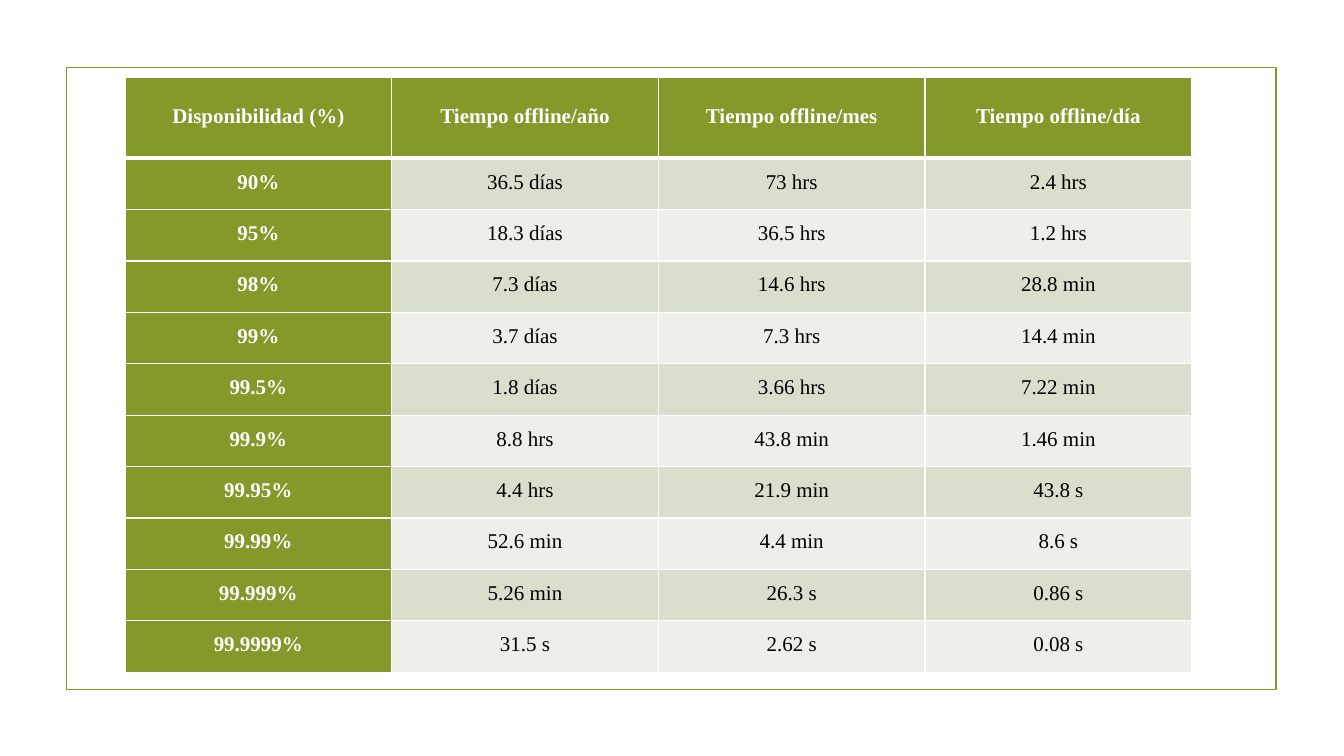
from dataclasses import dataclass

from lxml import etree
from pptx import Presentation
from pptx.dml.color import RGBColor
from pptx.enum import shapes, text
from pptx.oxml import ns
from pptx.util import Inches, Pt


@dataclass(frozen=True)
class Theme:
    green: str = "83992A"
    white: str = "FFFFFF"
    black: str = "000000"
    bands: tuple = ("D9DECD", "EDEFE8")
    font: str = "Times New Roman"
    size: float = 15
    lead: float = 13.8
    frame: float = 1.25
    thin: float = 1
    thick: float = 3


THEME = Theme()

ROWS = [
    ("Disponibilidad (%)", "Tiempo offline/año", "Tiempo offline/mes", "Tiempo offline/día"),
    ("90%", "36.5 días", "73 hrs", "2.4 hrs"),
    ("95%", "18.3 días", "36.5 hrs", "1.2 hrs"),
    ("98%", "7.3 días", "14.6 hrs", "28.8 min"),
    ("99%", "3.7 días", "7.3 hrs", "14.4 min"),
    ("99.5%", "1.8 días", "3.66 hrs", "7.22 min"),
    ("99.9%", "8.8 hrs", "43.8 min", "1.46 min"),
    ("99.95%", "4.4 hrs", "21.9 min", "43.8 s"),
    ("99.99%", "52.6 min", "4.4 min", "8.6 s"),
    ("99.999%", "5.26 min", "26.3 s", "0.86 s"),
    ("99.9999%", "31.5 s", "2.62 s", "0.08 s"),
]


def color(code):
    return RGBColor.from_string(code)


def add_frame(slide):
    frame = slide.shapes.add_shape(
        shapes.MSO_SHAPE.RECTANGLE, Inches(0.66), Inches(0.67), Inches(12), Inches(6.17))
    frame.shadow.inherit = False
    frame.fill.background()
    frame.line.color.rgb = color(THEME.green)
    frame.line.width = Pt(THEME.frame)


def add_edge(cell, side, width):
    props = cell._tc.get_or_add_tcPr()
    line = etree.SubElement(props, ns.qn(f"a:ln{side}"), w=str(Pt(width)))
    fill = etree.SubElement(line, ns.qn("a:solidFill"))
    etree.SubElement(fill, ns.qn("a:srgbClr"), val=THEME.white)


def fill_cell(cell, label, row, col):
    # Borders: a thick rule parts the header from the body
    thick = {(0, "B"), (1, "T")}
    for side in "LRTB":
        add_edge(cell, side, THEME.thick if (row, side) in thick else THEME.thin)

    # Fill: green header row and first column, banded body
    head = row == 0 or col == 0
    cell.fill.solid()
    cell.fill.fore_color.rgb = color(THEME.green if head else THEME.bands[(row - 1) % 2])

    # Text
    cell.margin_left = cell.margin_right = Inches(0.08)
    cell.margin_top = cell.margin_bottom = Inches(0.08)
    cell.vertical_anchor = text.MSO_ANCHOR.MIDDLE
    cell.text = label
    para = cell.text_frame.paragraphs[0]
    para.alignment = text.PP_ALIGN.CENTER
    para.line_spacing = Pt(THEME.lead)
    para.font.name = THEME.font
    para.font.size = Pt(THEME.size)
    para.font.bold = head
    para.font.color.rgb = color(THEME.white if head else THEME.black)


def add_grid(slide):
    table = slide.shapes.add_table(
        len(ROWS), len(ROWS[0]),
        Inches(1.24), Inches(0.77), Inches(10.58), Inches(5.87)).table
    for row, labels in enumerate(ROWS):
        table.rows[row].height = Inches(0.51 if row else 0.8)
        for col, label in enumerate(labels):
            fill_cell(table.cell(row, col), label, row, col)


def main():
    deck = Presentation()
    deck.slide_width, deck.slide_height = Inches(13.33), Inches(7.5)
    slide = deck.slides.add_slide(deck.slide_layouts[6])
    add_frame(slide)
    add_grid(slide)
    deck.save("out.pptx")


if __name__ == "__main__":
    main()
